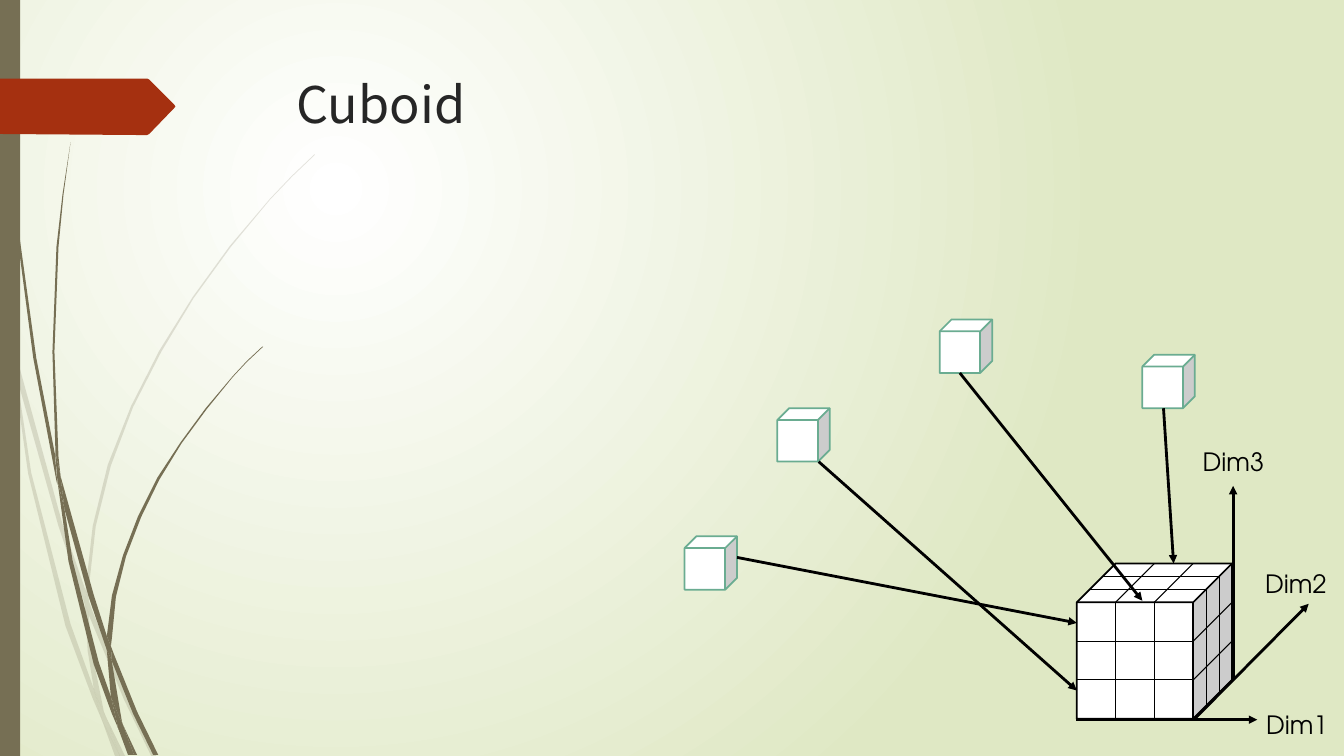
from dataclasses import dataclass

from lxml import etree
from pptx import Presentation
from pptx import util as u
from pptx.dml.color import RGBColor
from pptx.enum import shapes, text
from pptx.oxml import ns

Point = tuple[float, float]

WHITE = RGBColor(0xFF, 0xFF, 0xFF)
BLACK = RGBColor(0, 0, 0)
PALE_GREEN = RGBColor(0xDF, 0xE8, 0xC4)
OLIVE = RGBColor(0x76, 0x6F, 0x54)
RED = RGBColor(0xA5, 0x30, 0x10)
CELL_GREEN = RGBColor(0x6A, 0xAC, 0x91)
TITLE_GREY = RGBColor(0x26, 0x26, 0x26)

WIDTH, HEIGHT = 13.33, 7.5

# Corners of the grass blades, as x,y pairs in inches.
FADED_BLADES = (
    "0.11,3.5 0.09,3.22 0,2.82 0,2.99 0.1,3.44",
    "0.58,5.22 0.84,5.99 0.85,5.86 0.62,5.2 0.14,3.45 0.17,3.76",
    "0.92,6.07 0.88,5.96 0.88,6.1 1.23,6.94 1.5,7.5 1.55,7.5 1.27,6.92",
    "1.19,7.5 1.24,7.5 1.05,7.11",
    "0.93,6.83 0.7,6.19 0.31,4.69 0.17,3.76 0.11,3.5 0.28,4.7 0.65,6.21 0.92,6.93 1.01,7.14 0.99,7.07",
    "0.84,5.99 0.87,6.46 0.93,6.83 0.96,6.92 1.05,7.11 1.03,7.06 0.91,6.46 0.88,6.1 0.88,6.08",
    "0.88,5.84 0.95,5.22 1.1,4.62 1.32,4.04 1.6,3.49 1.92,2.96 2.29,2.45 2.68,1.98 2.9,1.75 3.12,1.54 "
    "3.12,1.53 2.89,1.75 2.68,1.97 2.28,2.44 1.91,2.95 1.58,3.48 1.3,4.03 1.07,4.61 0.92,5.22 "
    "0.85,5.84 0.85,5.86 0.88,5.96",
    "1.01,7.14 1.14,7.5 1.19,7.5",
    "0.88,6.08 0.88,6.1 0.88,5.96 0.85,5.86 0.84,5.99",
    "0.96,6.92 0.93,6.83 0.99,7.07 1.01,7.14 1.19,7.5 1.05,7.11",
)
SOLID_BLADES = (
    "0.07,1.1 0.17,2.33 0.33,3.55 0.56,4.77 0.57,4.81 0.55,4.57 0.55,4.53 0.36,3.55 0.19,2.32 "
    "0.08,1.09 0.05,0.48 0.04,0 0.03,0 0.04,0.48",
    "0.88,5.92 1.06,6.45 1.06,6.33 1.06,6.31 0.93,5.9 0.6,4.72 0.64,5.05",
    "1.13,6.49 1.1,6.41 1.11,6.56 1.32,7.08 1.52,7.49 1.57,7.49 1.36,7.06",
    "1.1,6.91 0.98,6.57 0.72,5.56 0.64,5.05 0.57,4.77 0.68,5.57 0.93,6.59 1.11,7.08 1.17,7.22 1.16,7.17",
    "0.6,4.72 0.58,4.53 0.54,3.49 0.58,2.45 0.63,1.93 0.7,1.41 0.62,1.93 0.56,2.45 0.52,3.49 0.55,4.49",
    "1.33,7.49 1.36,7.49 1.22,7.19",
    "0.57,4.77 0.64,5.05 0.6,4.72 0.55,4.49 0.55,4.53",
    "1.11,6.33 1.15,5.92 1.25,5.52 1.4,5.13 1.58,4.76 1.8,4.4 2.05,4.06 2.31,3.74 2.45,3.59 2.61,3.44 "
    "2.6,3.44 2.45,3.58 2.31,3.73 2.04,4.05 1.79,4.39 1.56,4.74 1.37,5.12 1.22,5.51 1.11,5.91 "
    "1.06,6.31 1.1,6.41",
    "1.17,7.22 1.27,7.49 1.31,7.49",
    "1.06,6.45 1.1,6.91 1.16,7.06 1.22,7.19 1.21,7.16 1.11,6.56 1.09,6.51",
    "1.06,6.45 1.09,6.51 1.11,6.56 1.1,6.41 1.06,6.31 1.06,6.33",
    "1.16,7.06 1.1,6.91 1.16,7.17 1.17,7.22 1.3,7.49 1.33,7.49 1.22,7.19",
)
TITLE_TAG = ("1.74,1.06 1.48,1.33 1.46,1.34 1.36,1.34 0,1.33 0,0.78 1.46,0.78 1.48,0.79 1.73,1.04",)


@dataclass(frozen=True)
class Label:
    wording: str
    left: float
    top: float
    width: float = 0.87
    height: float = 0.4
    size: int = 18
    font: str = "TeX Gyre Adventor"
    color: RGBColor = BLACK


@dataclass(frozen=True)
class Cube:
    left: float
    top: float
    width: float = 0.52
    height: float = 0.53
    depth_ratio: float = 0.225
    edge: RGBColor = CELL_GREEN


TITLE = Label("Cuboid", 2.84, 0.68, 9.75, 1.4, 36, "Noto Sans CJK SC", TITLE_GREY)
AXIS_LABELS = (Label("Dim1", 12.46, 6.99), Label("Dim2", 12.45, 5.59), Label("Dim3", 11.83, 4.38))
CELLS = (Cube(9.32, 3.17), Cube(7.71, 4.05), Cube(6.79, 5.32), Cube(11.33, 3.52))
CUBOID = Cube(10.68, 5.59, 1.54, 1.54, 0.25, BLACK)
ARROWS = (
    ((7.31, 5.53), (10.68, 6.18)), ((11.54, 4.05), (11.64, 5.59)),
    ((9.52, 3.7), (11.33, 5.96)), ((8.12, 4.58), (10.68, 6.85)),
    ((11.84, 7.14), (12.98, 5.99)), ((12.23, 6.73), (12.23, 4.82)), ((10.67, 7.14), (12.47, 7.14)),
)


def paint(shape, fill: RGBColor) -> None:
    shape.shadow.inherit = False
    shape.fill.solid()
    shape.fill.fore_color.rgb = fill
    shape.line.fill.background()


def draw_outlines(slide, outlines: tuple[str, ...], fill: RGBColor, opacity: int = 100) -> None:
    for outline in outlines:
        corners = [tuple(u.Inches(float(n)) for n in pair.split(",")) for pair in outline.split()]
        builder = slide.shapes.build_freeform(*corners[0])
        builder.add_line_segments(corners[1:], close=True)
        polygon = builder.convert_to_shape()
        paint(polygon, fill)
        if opacity < 100:
            tint = polygon.element.spPr.find(ns.qn("a:solidFill"))[0]
            etree.SubElement(tint, ns.qn("a:alpha"), val=str(opacity * 1000))


def draw_cube(slide, cube: Cube) -> None:
    box = map(u.Inches, (cube.left, cube.top, cube.width, cube.height))
    solid = slide.shapes.add_shape(shapes.MSO_SHAPE.CUBE, *box)
    solid.adjustments[0] = cube.depth_ratio
    paint(solid, WHITE)
    solid.line.color.rgb = cube.edge
    solid.line.width = u.Pt(1.25)


def draw_line(slide, start: Point, end: Point, weight: float = 0.75, arrow: bool = False) -> None:
    line = slide.shapes.add_connector(shapes.MSO_CONNECTOR.STRAIGHT, *map(u.Inches, start + end))
    line.line.color.rgb = BLACK
    line.line.width = u.Pt(weight)
    properties = line.element.spPr
    if arrow:
        etree.SubElement(properties.find(ns.qn("a:ln")), ns.qn("a:tailEnd"), type="triangle")
    etree.SubElement(properties, ns.qn("a:effectLst"))


def draw_grid(slide, cube: Cube, count: int = 3) -> None:
    """Divide the three visible faces into count by count cells."""
    depth = cube.width * cube.depth_ratio
    right, bottom = cube.left + cube.width, cube.top + cube.height
    front_right, front_top = right - depth, cube.top + depth
    for i in range(1, count):
        x = cube.left + (cube.width - depth) * i / count
        y = front_top + (cube.height - depth) * i / count
        shift = depth * i / count
        draw_line(slide, (x, front_top), (x + depth, cube.top))
        draw_line(slide, (cube.left + shift, front_top - shift), (front_right + shift, front_top - shift))
        draw_line(slide, (x, front_top), (x, bottom))
        draw_line(slide, (cube.left, y), (front_right, y))
        draw_line(slide, (front_right, y), (right, y - depth))
        draw_line(slide, (front_right + shift, front_top - shift), (front_right + shift, bottom - shift))


def draw_label(slide, label: Label) -> None:
    box = slide.shapes.add_textbox(*map(u.Inches, (label.left, label.top, label.width, label.height)))
    frame = box.text_frame
    frame.word_wrap = True
    frame.vertical_anchor = text.MSO_ANCHOR.TOP
    frame.text = label.wording
    font = frame.paragraphs[0].runs[0].font
    font.size, font.name = u.Pt(label.size), label.font
    font.color.rgb = label.color


def draw_background(slide) -> None:
    fill = slide.background.fill
    fill.gradient()
    for stop, position, color in zip(fill.gradient_stops, (0, 1), (WHITE, PALE_GREEN)):
        stop.position, stop.color.rgb = position, color
    gradient = slide.element.find(".//" + ns.qn("a:gradFill"))
    gradient.remove(gradient.find(ns.qn("a:lin")))
    circle = etree.SubElement(gradient, ns.qn("a:path"), path="circle")
    etree.SubElement(circle, ns.qn("a:fillToRect"), l="50000", t="50000", r="100000", b="100000")


def main() -> None:
    deck = Presentation()
    deck.slide_width, deck.slide_height = u.Inches(WIDTH), u.Inches(HEIGHT)
    slide = deck.slides.add_slide(deck.slide_layouts[6])
    draw_background(slide)
    draw_outlines(slide, FADED_BLADES, OLIVE, 20)
    draw_outlines(slide, SOLID_BLADES, OLIVE)
    side_bar = slide.shapes.add_shape(shapes.MSO_SHAPE.RECTANGLE, 0, 0, u.Inches(0.2), u.Inches(HEIGHT))
    paint(side_bar, OLIVE)
    draw_outlines(slide, TITLE_TAG, RED)
    draw_label(slide, TITLE)
    for cube in (*CELLS, CUBOID):
        draw_cube(slide, cube)
    draw_grid(slide, CUBOID)
    for start, end in ARROWS:
        draw_line(slide, start, end, 2, arrow=True)
    for label in AXIS_LABELS:
        draw_label(slide, label)
    deck.save("out.pptx")


if __name__ == "__main__":
    main()
